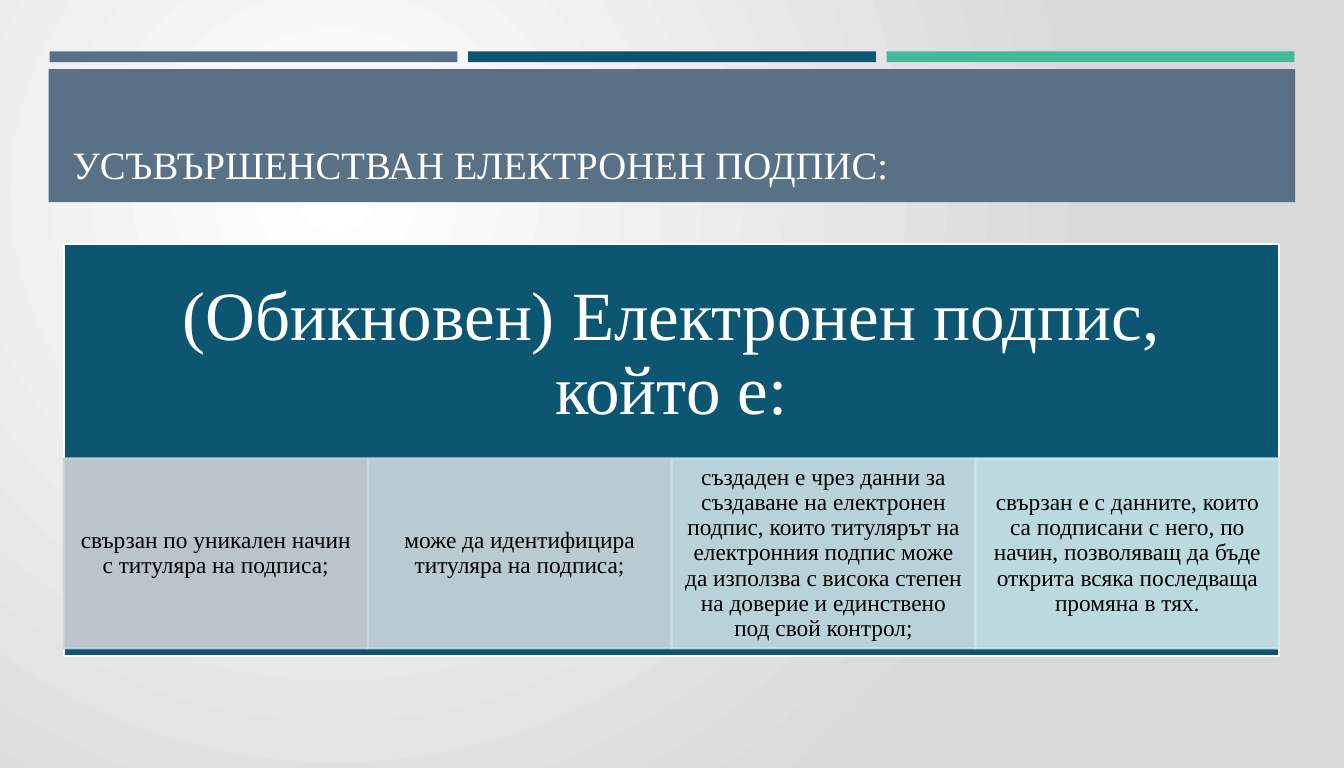
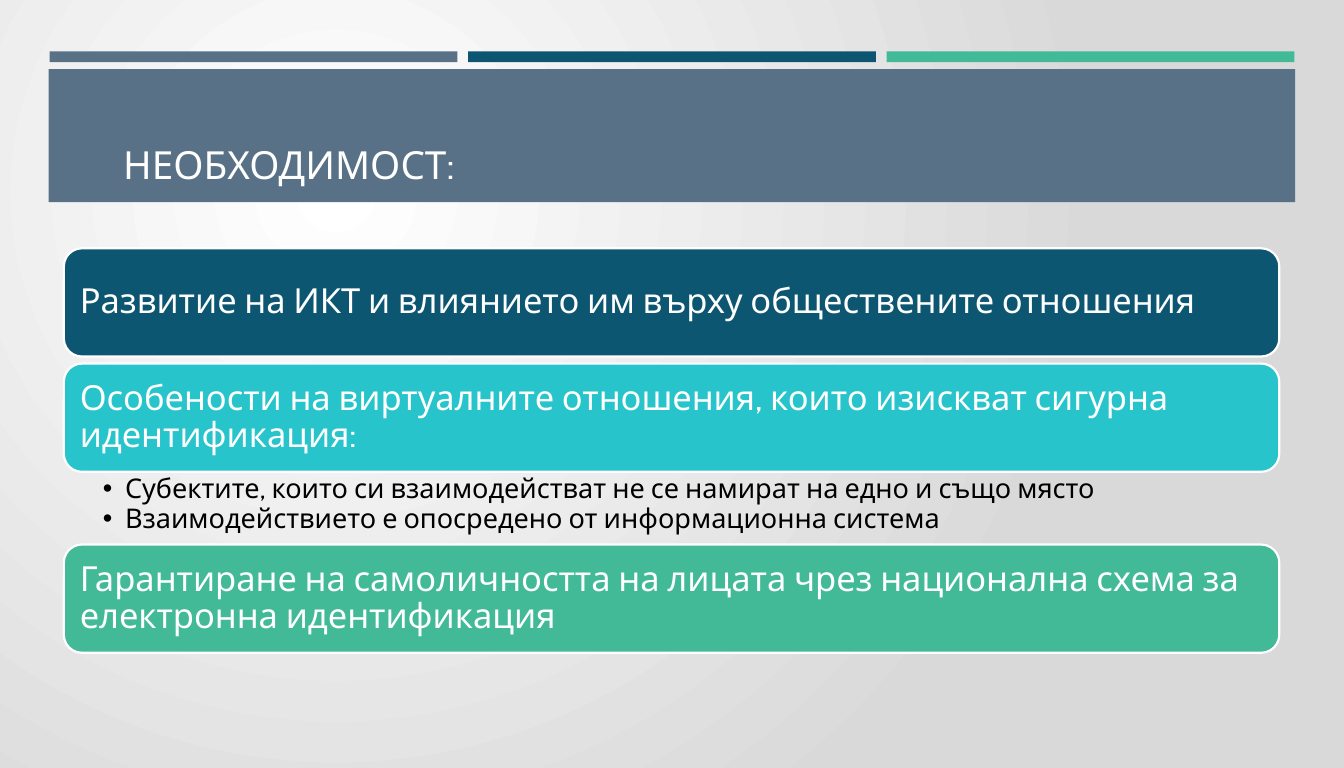
import pptx
import pptx.util
from lxml import etree
from pptx.dml.color import RGBColor
from pptx.enum.shapes import MSO_SHAPE
from pptx.enum.text import MSO_ANCHOR, PP_ALIGN
from pptx.oxml.ns import qn

WHITE = RGBColor(0xFF, 0xFF, 0xFF)
BLACK = RGBColor(0, 0, 0)
GREY = RGBColor(0xD9, 0xD9, 0xD9)
SLATE = RGBColor(0x58, 0x71, 0x86)
NAVY = RGBColor(0x0D, 0x56, 0x72)
GREEN = RGBColor(0x42, 0xBA, 0x97)
CYAN = RGBColor(0x28, 0xC4, 0xCC)
SERIF, SANS = "Times New Roman", "Cabin"

WIDE, HIGH = 1516, 866
LEFT, BODY = 72, 1371
BARS = [SLATE, NAVY, GREEN]

SIGN = "УСЪВЪРШЕНСТВАН ЕЛЕКТРОНЕН ПОДПИС:"
HEAD = "(Обикновен) Електронен подпис, който е:"
CELLS = [
    ("свързан по уникален начин с титуляра на подписа;",
     RGBColor(0xCC, 0xD1, 0xD5)),
    ("може да идентифицира титуляра на подписа;",
     RGBColor(0xCC, 0xD7, 0xDE)),
    ("създаден е чрез данни за създаване на електронен подпис, които "
     "титулярът на електронния подпис може да използва с висока степен на "
     "доверие и единствено под свой контрол;",
     RGBColor(0xCC, 0xE0, 0xE6)),
    ("свързан е с данните, които са подписани с него, по начин, "
     "позволяващ да бъде открита всяка последваща промяна в тях.",
     RGBColor(0xCD, 0xE9, 0xEC)),
]

NEED = "НЕОБХОДИМОСТ:"
ROWS = [
    ("Развитие на ИКТ и влиянието им върху обществените отношения",
     NAVY, []),
    ("Особености на виртуалните отношения, които изискват сигурна "
     "идентификация:", CYAN,
     ["Субектите, които си взаимодействат не се намират на едно и също място",
      "Взаимодействието е опосредено от информационна система"]),
    ("Гарантиране на самоличността на лицата чрез национална схема за "
     "електронна идентификация", GREEN, []),
]


def px(n):
    """Turn px, 100 to the inch, into EMU."""
    return pptx.util.Emu(int(n * 9144))


def fade(part, alpha):
    """Make every solid colour below part partly clear."""
    for tone in part.iter(qn("a:srgbClr")):
        etree.SubElement(tone, qn("a:alpha")).set("val", str(alpha * 1000))


def box(slide, rect, fill, line=None, kind=MSO_SHAPE.RECTANGLE, alpha=100):
    shape = slide.shapes.add_shape(kind, *map(px, rect))
    shape.shadow.inherit = False
    shape.fill.solid()
    shape.fill.fore_color.rgb = fill
    if line is None:
        shape.line.fill.background()
    else:
        shape.line.color.rgb = line
        shape.line.width = pptx.util.Pt(1.75)
    if alpha < 100:
        fade(shape._element.spPr, alpha)
    return shape


def write(shape, lines, size, font, color, pads, anchor=MSO_ANCHOR.MIDDLE,
          align=PP_ALIGN.LEFT, indent=0, bullet=False):
    """Fill the shape with paragraphs; pads are left, top, right, bottom."""
    frame = shape.text_frame
    frame.word_wrap = True
    frame.vertical_anchor = anchor
    (frame.margin_left, frame.margin_top,
     frame.margin_right, frame.margin_bottom) = map(px, pads)
    for i, line in enumerate(lines):
        para = frame.add_paragraph() if i else frame.paragraphs[0]
        para.alignment = align
        para.line_spacing = 0.9
        props = para._p.get_or_add_pPr()
        props.set("marL", str(px(indent)))
        if bullet:
            props.set("indent", str(px(-indent)))
            etree.SubElement(props, qn("a:buFont")).set("typeface", "Arial")
            etree.SubElement(props, qn("a:buChar")).set("char", "•")
        run = para.add_run()
        run.text = line
        run.font.size = pptx.util.Pt(size)
        run.font.name = font
        run.font.color.rgb = color


def text(slide, rect):
    return slide.shapes.add_textbox(*map(px, rect))


def backdrop(master):
    """Give all slides a round gradient from white to grey."""
    fill = master.background.fill
    fill.gradient()
    for stop, tone, place in zip(fill.gradient_stops, (WHITE, GREY), (0, 1)):
        stop.color.rgb = tone
        stop.position = place
    grad = next(master._element.iter(qn("a:gradFill")))
    grad.remove(grad.find(qn("a:lin")))
    ring = etree.SubElement(grad, qn("a:path"))
    ring.set("path", "circle")
    rect = etree.SubElement(ring, qn("a:fillToRect"))
    for side, part in zip("ltrb", (50, 50, 100, 100)):
        rect.set(side, str(part * 1000))


def start(deck, title, font, indent=0):
    """Add a slide with the bars, the band and its title."""
    slide = deck.slides.add_slide(deck.slide_layouts[6])
    for i, color in enumerate(BARS):
        box(slide, (56 + 472 * i, 58, 460, 12), color)
    box(slide, (55, 78, 1406, 150), SLATE)
    write(text(slide, (LEFT, 89, BODY, 128)), [title], 31.4, font, WHITE,
          (10, 5, 10, 5), MSO_ANCHOR.BOTTOM, indent=indent)
    return slide


def signature(deck):
    slide = start(deck, SIGN, SERIF)
    panel = box(slide, (LEFT, 275, BODY, 465), NAVY, WHITE)
    write(panel, [HEAD], 56, SERIF, WHITE, (44, 44, 44, 258),
          align=PP_ALIGN.CENTER)
    step = BODY / len(CELLS)
    for i, (words, color) in enumerate(CELLS):
        cell = box(slide, (LEFT + i * step, 517, step, 214), color, color,
                   alpha=90)
        write(cell, [words], 19, SERIF, BLACK, (15, 3, 15, 3),
              align=PP_ALIGN.CENTER)


def need(deck):
    slide = start(deck, NEED, SANS, indent=57)
    top, tall, gap, sub = 280, 122, 8, 82
    for words, color, points in ROWS:
        row = box(slide, (LEFT, top, BODY, tall), color, WHITE,
                  MSO_SHAPE.ROUNDED_RECTANGLE)
        write(row, [words], 28, SANS, WHITE, (12, 12, 12, 12))
        top += tall
        if points:
            write(text(slide, (LEFT, top, BODY, sub)), points, 22, SANS,
                  BLACK, (44, 4, 22, 4), MSO_ANCHOR.TOP, indent=25,
                  bullet=True)
        top += sub if points else gap


def main():
    deck = pptx.Presentation()
    deck.slide_width, deck.slide_height = px(WIDE), px(HIGH)
    backdrop(deck.slide_master)
    signature(deck)
    need(deck)
    deck.save("out.pptx")


if __name__ == "__main__":
    main()
